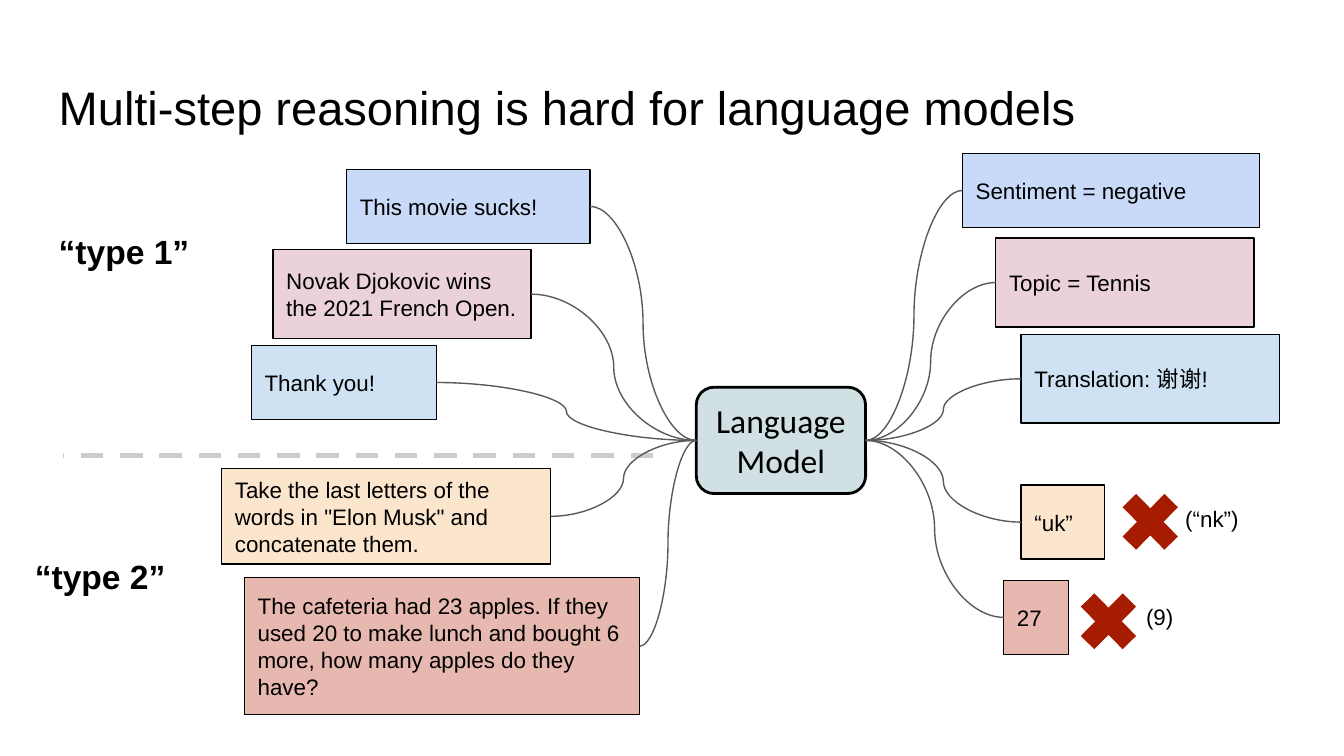
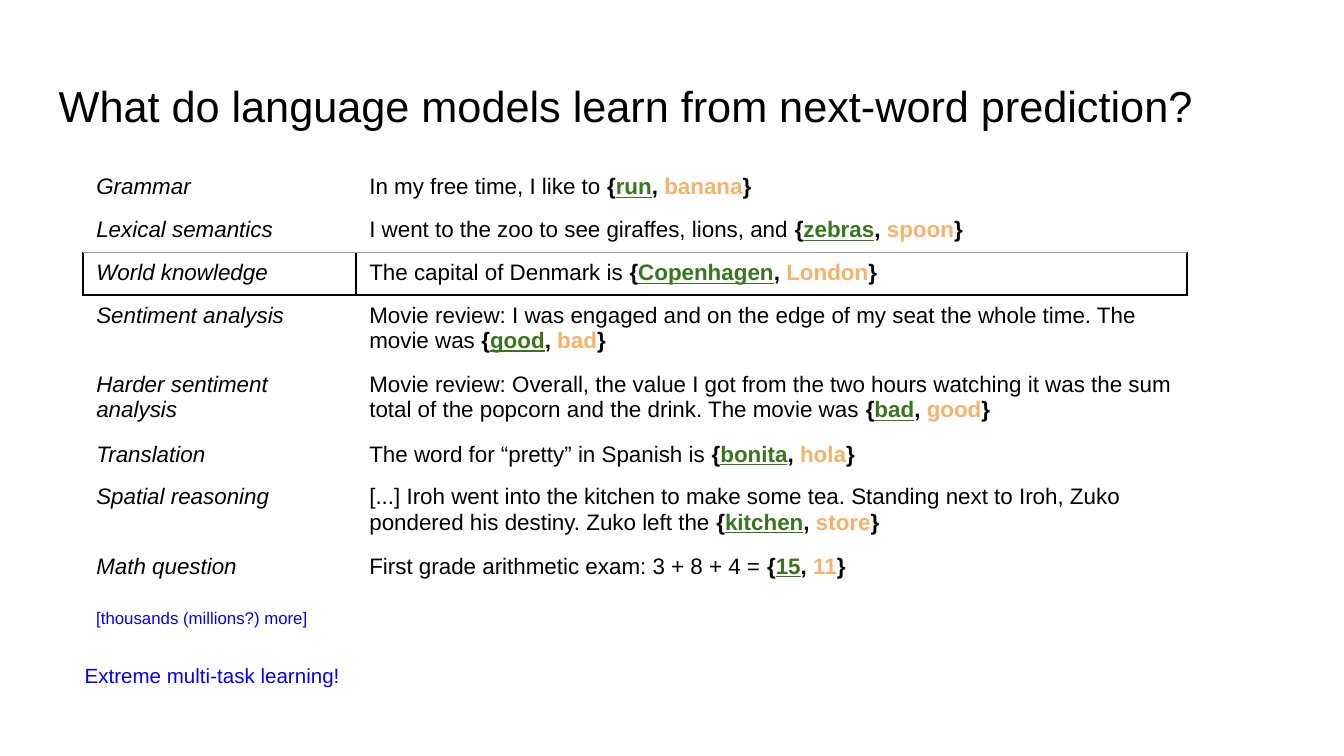
from dataclasses import dataclass
from itertools import accumulate
from typing import NamedTuple, Optional

from lxml.etree import SubElement
from pptx import Presentation
from pptx.dml.color import RGBColor
from pptx.enum.dml import MSO_LINE
from pptx.enum.shapes import MSO_CONNECTOR as Link, MSO_SHAPE as Preset
from pptx.enum.text import MSO_ANCHOR as Anchor, MSO_AUTO_SIZE as AutoSize, PP_ALIGN as Align
from pptx.oxml.ns import qn
from pptx.util import Cm, Pt

COLORS = {
    "text": "000000", "note": "0000FF", "curve": "595959", "divider": "CCCCCC",
    "model": "D0E0E3", "sentiment": "C9DAF8", "topic": "EAD1DC", "thanks": "CFE2F3",
    "letters": "FCE5CD", "apples": "E6B8AF", "cross": "A61C00",
    "right": "38761D", "wrong": "F6B26B", "black": "000000", "gray": "9E9E9E",
}
INSET = 0.25
CELL_INSET = 0.15
TITLE_ONLY = 5
LEFT_SITE, RIGHT_SITE = 1, 3
PLAIN_TABLE = "{2D5ABB26-0587-4C30-8999-92F81FD0307C}"


class Place(NamedTuple):
    """Left, top, width and height in centimetres."""
    left: float
    top: float
    width: float
    height: float

    def lengths(self):
        return [Cm(value) for value in self]


@dataclass
class Task:
    color: str
    prompt: str
    prompt_place: Place
    answer: str
    answer_place: Place
    correction: str = ""
    cross_place: Optional[Place] = None
    correction_place: Optional[Place] = None


@dataclass
class Example:
    skill: str
    prompt: str
    right: str
    wrong: str
    height: float = 0.81
    sides: str = ""
    border: str = "gray"
    border_width: float = 0.75


TITLE_PLACE = Place(0.86, 1.24, 23.67, 1.6)
MODEL_PLACE = Place(13.16, 7.32, 3.2, 2.01)
TABLE_LEFT, TABLE_TOP = 1.57, 3.15
COLUMNS = (5.16, 15.7)
TWO_LINES = 1.31

TASKS = [
    Task("sentiment", "This movie sucks!", Place(6.55, 3.2, 4.6, 1.4),
         "Sentiment = negative", Place(18.19, 2.9, 5.61, 1.4)),
    Task("topic", "Novak Djokovic wins the 2021 French Open.", Place(5.16, 4.72, 4.88, 1.68),
         "Topic = Tennis", Place(18.82, 4.5, 4.88, 1.68)),
    Task("thanks", "Thank you!", Place(4.75, 6.53, 3.5, 1.4),
         "Translation: 谢谢!", Place(19.3, 6.32, 4.88, 1.68)),
    Task("letters", 'Take the last letters of the words in "Elon Musk" and concatenate them.',
         Place(4.19, 8.86, 6.22, 1.8), "“uk”", Place(19.3, 9.17, 1.57, 1.4),
         "(“nk”)", Place(20.98, 9.09, 1.52, 1.55), Place(22.15, 9.3, 2.64, 1.02)),
    Task("apples", "The cafeteria had 23 apples. If they used 20 to make lunch and bought 6 more, "
         "how many apples do they have?",
         Place(4.62, 10.92, 7.47, 2.59), "27", Place(18.97, 10.97, 1.22, 1.4),
         "(9)", Place(20.19, 10.97, 1.52, 1.55), Place(21.41, 11.15, 2.64, 1.02)),
]

EXAMPLES = [
    Example("Grammar", "In my free time, I like to ", "run", "banana"),
    Example("Lexical semantics", "I went to the zoo to see giraffes, lions, and ",
            "zebras", "spoon", sides="B"),
    Example("World knowledge", "The capital of Denmark is ", "Copenhagen", "London",
            sides="LRTB", border="black", border_width=1),
    Example("Sentiment analysis", "Movie review: I was engaged and on the edge of my seat "
            "the whole time. The movie was ", "good", "bad", TWO_LINES, sides="T"),
    Example("Harder sentiment analysis", "Movie review: Overall, the value I got from the two "
            "hours watching it was the sum total of the popcorn and the drink. The movie was ",
            "bad", "good", TWO_LINES),
    Example("Translation", "The word for “pretty” in Spanish is ", "bonita", "hola"),
    Example("Spatial reasoning", "[...] Iroh went into the kitchen to make some tea. Standing "
            "next to Iroh, Zuko pondered his destiny. Zuko left the ",
            "kitchen", "store", TWO_LINES),
    Example("Math question", "First grade arithmetic exam: 3 + 8 + 4 = ", "15", "11"),
]


def rgb(name: str) -> RGBColor:
    return RGBColor.from_string(COLORS[name])


def add_span(para, text: str, size: float = 12, color: str = "text", face: str = "Arial",
             bold: bool = False, italic: bool = False, underline: bool = False) -> None:
    span = para.add_run()
    span.text = text
    font = span.font
    font.name, font.size, font.color.rgb = face, Pt(size), rgb(color)
    font.bold, font.italic, font.underline = bold, italic, underline


def prepare_frame(frame, anchor=Anchor.TOP, align=Align.LEFT):
    """Set insets, wrapping and alignment, and return the first paragraph."""
    frame.word_wrap = True
    frame.auto_size = AutoSize.NONE
    frame.vertical_anchor = anchor
    frame.margin_left = frame.margin_right = Cm(INSET)
    frame.margin_top = frame.margin_bottom = Cm(INSET)
    para = frame.paragraphs[0]
    para.alignment = align
    return para


def add_titled_page(deck, title: str, size: float):
    page = deck.slides.add_slide(deck.slide_layouts[TITLE_ONLY])
    box = page.shapes.title
    box.left, box.top, box.width, box.height = TITLE_PLACE.lengths()
    add_span(prepare_frame(box.text_frame), title, size)
    return page


def add_label(page, text: str, place: Place, size: float = 12, color: str = "text",
              bold: bool = False) -> None:
    box = page.shapes.add_textbox(*place.lengths())
    add_span(prepare_frame(box.text_frame), text, size, color, bold=bold)


def add_filled(page, preset, place: Place, color: str, border: float = 0):
    shape = page.shapes.add_shape(preset, *place.lengths())
    shape.shadow.inherit = False
    shape.fill.solid()
    shape.fill.fore_color.rgb = rgb(color)
    if border:
        shape.line.color.rgb = rgb("black")
        shape.line.width = Pt(border)
    else:
        shape.line.fill.background()
    return shape


def add_card(page, text: str, place: Place, color: str):
    card = add_filled(page, Preset.RECTANGLE, place, color, 0.75)
    add_span(prepare_frame(card.text_frame, Anchor.MIDDLE), text)
    return card


def add_line(page, kind, color: str, width: float, ends=(0, 0, 0, 0)):
    line = page.shapes.add_connector(kind, *(Cm(value) for value in ends))
    line.line.color.rgb = rgb(color)
    line.line.width = Pt(width)
    SubElement(line._element.spPr, qn("a:effectLst"))
    return line


def join(page, card, card_site: int, model, model_site: int) -> None:
    curve = add_line(page, Link.CURVE, "curve", 0.75)
    curve.begin_connect(card, card_site)
    curve.end_connect(model, model_site)


def add_task(page, model, task: Task) -> None:
    prompt = add_card(page, task.prompt, task.prompt_place, task.color)
    answer = add_card(page, task.answer, task.answer_place, task.color)
    join(page, prompt, RIGHT_SITE, model, LEFT_SITE)
    join(page, answer, LEFT_SITE, model, RIGHT_SITE)
    if task.correction:
        cross = add_filled(page, Preset.MATH_MULTIPLY, task.cross_place, "cross")
        cross.adjustments[0] = 0.235
        add_label(page, task.correction, task.correction_place)


def add_borders(cell, example: Example) -> None:
    properties = cell._tc.get_or_add_tcPr()
    for side in example.sides:
        edge = SubElement(properties, qn(f"a:ln{side}"), w=str(Pt(example.border_width)))
        fill = SubElement(edge, qn("a:solidFill"))
        SubElement(fill, qn("a:srgbClr"), val=COLORS[example.border])


def add_example(page, example: Example, top: float) -> None:
    place = Place(TABLE_LEFT, top, sum(COLUMNS), example.height)
    table = page.shapes.add_table(1, len(COLUMNS), *place.lengths()).table
    table.first_row = table.horz_banding = False
    table._tbl.tblPr.find(qn("a:tableStyleId")).text = PLAIN_TABLE
    for column, width in zip(table.columns, COLUMNS):
        column.width = Cm(width)
    for cell in table.rows[0].cells:
        cell.margin_left = cell.margin_right = Cm(INSET)
        cell.margin_top = cell.margin_bottom = Cm(CELL_INSET)
        add_borders(cell, example)
        cell.fill.background()
    skill, sentence = (cell.text_frame.paragraphs[0] for cell in table.rows[0].cells)
    add_span(skill, example.skill, italic=True)
    add_span(sentence, example.prompt)
    add_span(sentence, "{", bold=True)
    add_span(sentence, example.right, color="right", bold=True, underline=True)
    add_span(sentence, ", ", bold=True)
    add_span(sentence, example.wrong, color="wrong", bold=True)
    add_span(sentence, "}", bold=True)


def build_reasoning_page(deck) -> None:
    page = add_titled_page(deck, "Multi-step reasoning is hard for language models", 25.2)
    model = add_filled(page, Preset.ROUNDED_RECTANGLE, MODEL_PLACE, "model", 1.5)
    para = prepare_frame(model.text_frame, Anchor.MIDDLE, Align.CENTER)
    add_span(para, "Language Model", 18, face="Calibri")
    divider = add_line(page, Link.STRAIGHT, "divider", 3, (12.34, 8.61, 1.19, 8.61))
    divider.line.dash_style = MSO_LINE.DASH
    add_label(page, "“type 1”", Place(0.86, 4.11, 5.28, 1.27), 18, bold=True)
    add_label(page, "“type 2”", Place(0.41, 10.26, 4.09, 1.27), 18, bold=True)
    for task in TASKS:
        add_task(page, model, task)


def build_prediction_page(deck) -> None:
    page = add_titled_page(deck, "What do language models learn from next-word prediction?", 23.2)
    tops = accumulate((example.height for example in EXAMPLES), initial=TABLE_TOP)
    for example, top in reversed(list(zip(EXAMPLES, tops))):
        add_example(page, example, top)
    add_label(page, "[thousands (millions?) more]", Place(1.57, 11.23, 6.68, 1.09), 9, "note")
    add_label(page, "Extreme multi-task learning!", Place(1.35, 12.29, 10.29, 1.09), 11, "note")


def main() -> None:
    deck = Presentation()
    deck.slide_width, deck.slide_height = Cm(25.4), Cm(14.29)
    build_reasoning_page(deck)
    build_prediction_page(deck)
    deck.save("out.pptx")


if __name__ == "__main__":
    main()
